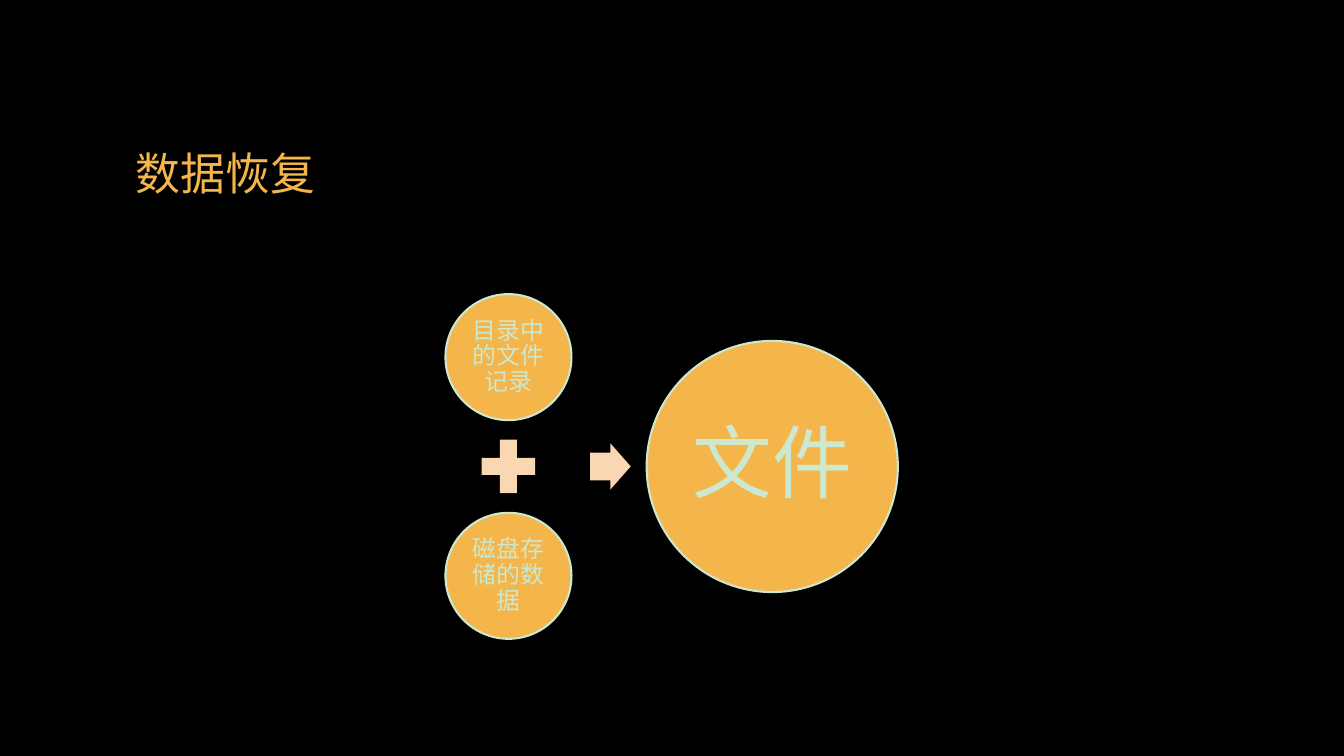
from pptx import Presentation
from pptx.dml.color import RGBColor
from pptx.enum.shapes import MSO_SHAPE
from pptx.enum.text import MSO_ANCHOR, PP_ALIGN
from pptx.util import Pt

BLACK = RGBColor(0x00, 0x00, 0x00)
AMBER = RGBColor(0xF4, 0xB5, 0x4B)
PEACH = RGBColor(0xF8, 0xD7, 0xB2)
MINT = RGBColor(0xCC, 0xE8, 0xCF)

AXIS_Y = 333.2      # shared horizontal axis of the diagram
SOURCE_X = 363.2    # centre of the column of sources
SOURCE_GAP = 78.1   # from the axis to the centre of each source


class Deck:
    font = "League Spartan"

    def __init__(self):
        self.prs = Presentation()
        self.prs.slide_width, self.prs.slide_height = Pt(960), Pt(540)
        self.s = self.prs.slides.add_slide(self.prs.slide_layouts[6])
        fill = self.s.background.fill
        fill.solid()
        fill.fore_color.rgb = BLACK

    def set_text(self, tf, text, size, color):
        tf.text = text
        tf.word_wrap = True
        tf.vertical_anchor = MSO_ANCHOR.MIDDLE
        font = tf.paragraphs[0].runs[0].font
        font.name, font.size = self.font, Pt(size)
        font.color.rgb = color

    def title(self, text):
        sp = self.s.shapes.add_textbox(Pt(90), Pt(48), Pt(780), Pt(150))
        self.set_text(sp.text_frame, text, 32, AMBER)

    def shape(self, kind, cx, cy, width, height, color):
        """Add a filled preset shape centred on (cx, cy)."""
        sp = self.s.shapes.add_shape(kind, Pt(cx - width / 2), Pt(cy - height / 2),
                                     Pt(width), Pt(height))
        sp.shadow.inherit = False
        sp.fill.solid()
        sp.fill.fore_color.rgb = color
        sp.line.fill.background()
        return sp

    def circle(self, text, cx, cy, diameter, size, inset):
        sp = self.shape(MSO_SHAPE.OVAL, cx, cy, diameter, diameter, AMBER)
        sp.line.color.rgb = MINT
        sp.line.width = Pt(1.5)
        tf = sp.text_frame
        tf.margin_left = tf.margin_right = tf.margin_top = tf.margin_bottom = Pt(inset)
        self.set_text(tf, text, size, MINT)
        p = tf.paragraphs[0]
        p.alignment = PP_ALIGN.CENTER
        p.line_spacing = 0.9


def main():
    deck = Deck()
    deck.title("数据恢复")
    deck.circle("目录中的文件记录", SOURCE_X, AXIS_Y - SOURCE_GAP, 90, 17, 1.5)
    deck.shape(MSO_SHAPE.MATH_PLUS, SOURCE_X, AXIS_Y, 52, 52, PEACH)
    deck.circle("磁盘存储的数据", SOURCE_X, AXIS_Y + SOURCE_GAP, 90, 17, 1.5)
    arrow = deck.shape(MSO_SHAPE.RIGHT_ARROW, 436, AXIS_Y, 29, 33, PEACH)
    arrow.adjustments[0] = 0.6
    deck.circle("文件", 551.6, AXIS_Y, 179.4, 57, 6)
    deck.prs.save("out.pptx")


if __name__ == "__main__":
    main()
